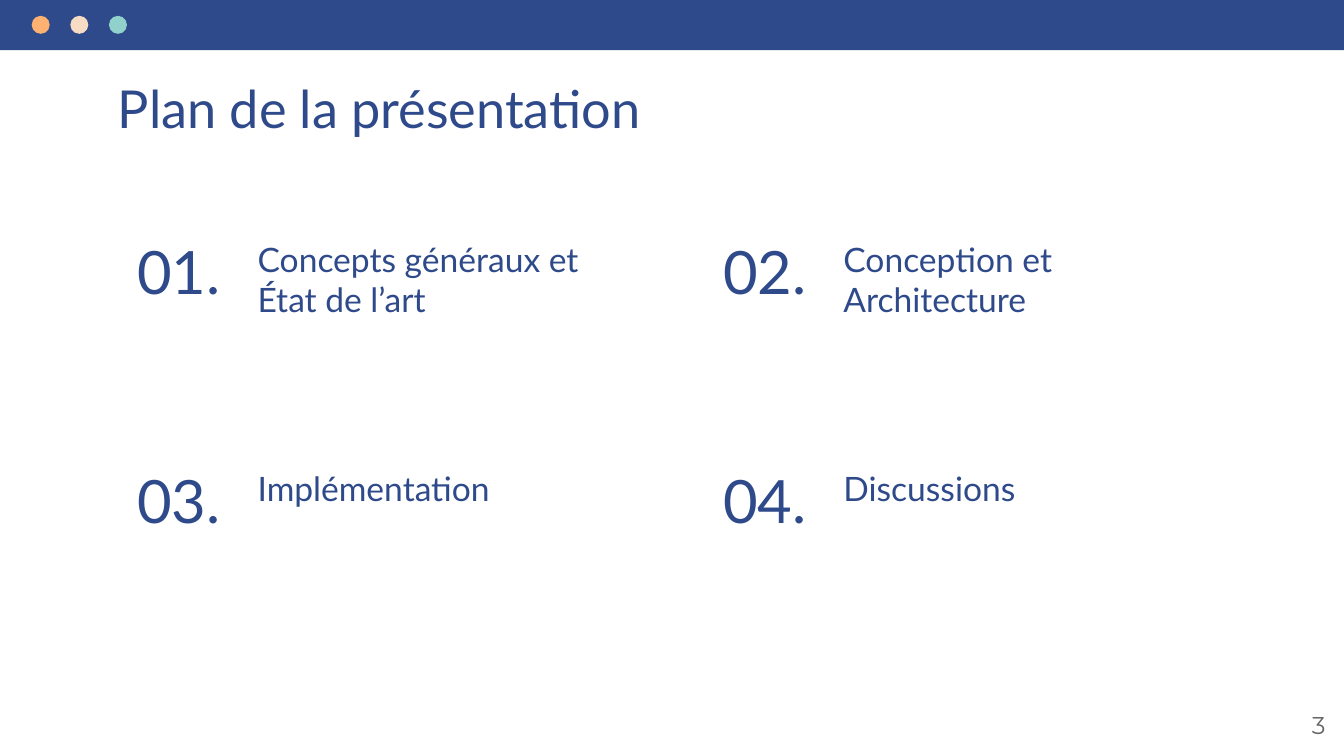
"""Build the outline slide of a presentation: header bar, title and four numbered topics."""

from dataclasses import dataclass

from pptx import Presentation
from pptx.dml.color import RGBColor
from pptx.enum.shapes import MSO_SHAPE as Preset
from pptx.enum.text import MSO_ANCHOR as Anchor, PP_ALIGN as Align
from pptx.slide import Slide
from pptx.util import Cm, Pt


@dataclass(frozen=True)
class Theme:
    navy: str = "2F4A8A"
    gray: str = "666666"
    dots: tuple[str, ...] = ("FFB172", "F8DBC4", "90D1CB")
    text_font: str = "Lato"
    page_font: str = "Montserrat"
    title_size: float = 28
    number_size: float = 32
    topic_size: float = 18
    page_size: float = 13


@dataclass(frozen=True)
class Area:
    left: float
    top: float
    width: float
    height: float

    def lengths(self) -> tuple[Cm, Cm, Cm, Cm]:
        return Cm(self.left), Cm(self.top), Cm(self.width), Cm(self.height)


@dataclass(frozen=True)
class Style:
    size: float
    color: str = Theme.navy
    font: str = Theme.text_font
    align: Align = Align.LEFT
    anchor: Anchor = Anchor.TOP


@dataclass(frozen=True)
class Topic:
    number: int
    label: str


THEME = Theme()
TITLE = Style(THEME.title_size)
TOPIC = Style(THEME.topic_size)
NUMBER = Style(THEME.number_size, align=Align.CENTER, anchor=Anchor.BOTTOM)
PAGE = Style(THEME.page_size, THEME.gray, THEME.page_font, Align.RIGHT)

TOPICS = (
    Topic(1, "Concepts généraux et\vÉtat de l’art"),
    Topic(2, "Conception et Architecture"),
    Topic(3, "Implémentation"),
    Topic(4, "Discussions"),
)
COLUMNS = 2
GRID_LEFT, GRID_TOP = 2.13, 4.27
COLUMN_STEP, ROW_STEP = 11.07, 4.33
DOT_LEFT, DOT_TOP, DOT_SIZE, DOT_STEP = 0.6, 0.3, 0.34, 0.73


def add_text(slide: Slide, area: Area, text: str, style: Style) -> None:
    """Add a text box holding one styled paragraph."""
    frame = slide.shapes.add_textbox(*area.lengths()).text_frame
    margins = dict.fromkeys(
        ("margin_left", "margin_top", "margin_right", "margin_bottom"), Cm(0.25)
    )
    frame_format = {"word_wrap": True, "vertical_anchor": style.anchor, **margins}
    for name, value in frame_format.items():
        setattr(frame, name, value)
    para = frame.paragraphs[0]
    para.text = text
    para.alignment = style.align
    for span in para.runs:
        for name, value in {"name": style.font, "size": Pt(style.size)}.items():
            setattr(span.font, name, value)
        span.font.color.rgb = RGBColor.from_string(style.color)


def add_filled(slide: Slide, preset: Preset, area: Area, color: str) -> None:
    """Add a preset shape with a plain fill and no outline."""
    shape = slide.shapes.add_shape(preset, *area.lengths())
    shape.shadow.inherit = False
    shape.fill.solid()
    shape.fill.fore_color.rgb = RGBColor.from_string(color)
    shape.line.fill.background()


def add_header(slide: Slide) -> None:
    """Add the top bar with its row of dots."""
    add_filled(slide, Preset.RECTANGLE, Area(0, 0, 25.4, 0.95), THEME.navy)
    for index, color in enumerate(THEME.dots):
        left = DOT_LEFT + index * DOT_STEP
        add_filled(slide, Preset.OVAL, Area(left, DOT_TOP, DOT_SIZE, DOT_SIZE), color)


def add_topic(slide: Slide, topic: Topic) -> None:
    """Add a topic label and its number in their grid cell."""
    row, column = divmod(topic.number - 1, COLUMNS)
    left = GRID_LEFT + column * COLUMN_STEP
    top = GRID_TOP + row * ROW_STEP
    add_text(slide, Area(left + 2.49, top, 7.5, 1.3), topic.label, TOPIC)
    add_text(slide, Area(left, top + 0.14, 2.51, 1.63), f"{topic.number:02}.", NUMBER)


def main() -> None:
    """Create the deck and save it."""
    deck = Presentation()
    deck.slide_width, deck.slide_height = Cm(25.4), Cm(14.29)
    slide = deck.slides.add_slide(deck.slide_layouts[6])
    add_text(slide, Area(1.98, 1.2, 21.44, 1.3), "Plan de la présentation", TITLE)
    for topic in TOPICS:
        add_topic(slide, topic)
    add_header(slide)
    add_text(slide, Area(23.78, 13.18, 1.52, 1.09), "3", PAGE)
    deck.save("out.pptx")


if __name__ == "__main__":
    main()
